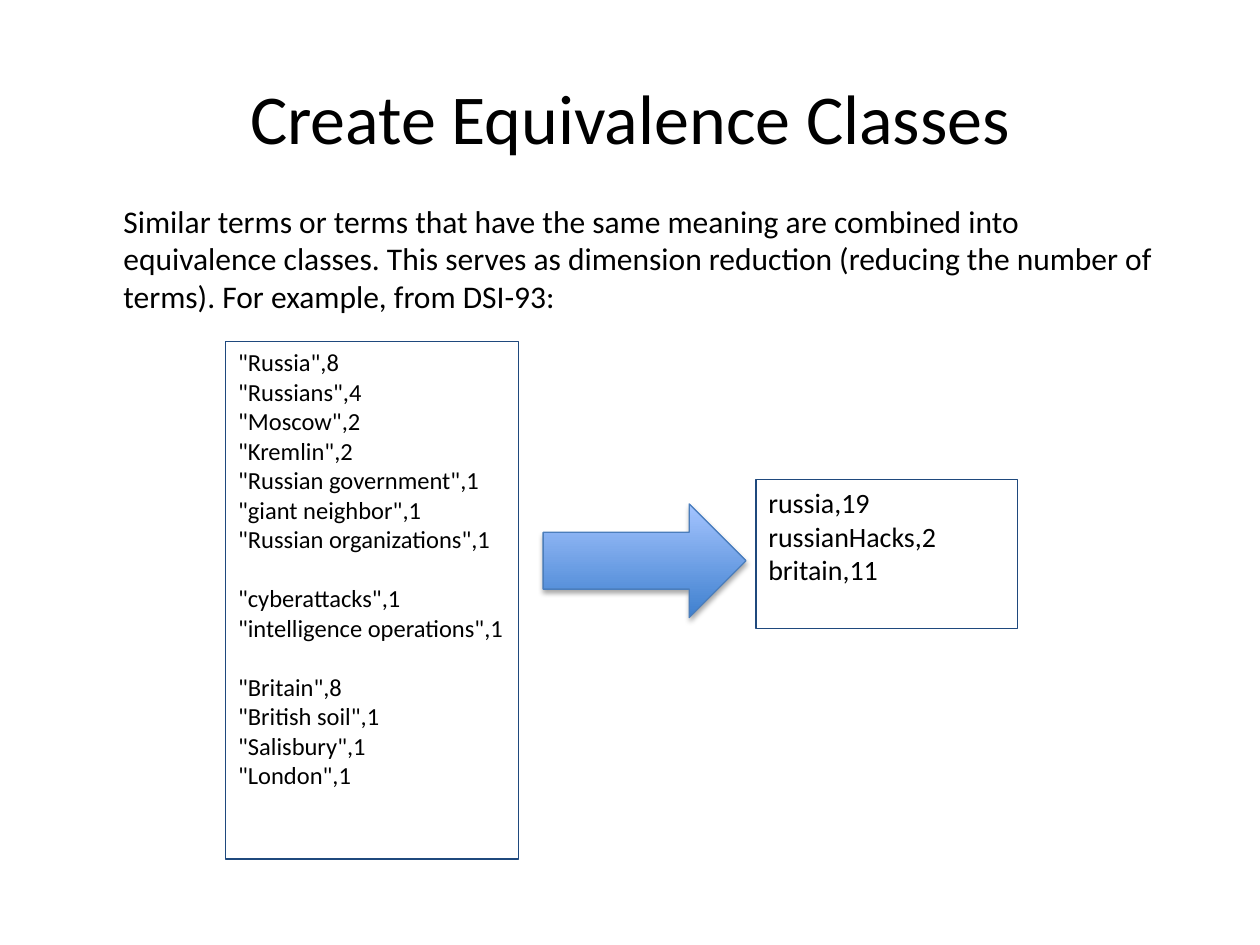
from dataclasses import dataclass

from lxml.etree import SubElement
from pptx import Presentation
from pptx.dml.color import RGBColor as Rgb
from pptx.enum.shapes import MSO_SHAPE as Shape
from pptx.enum.text import MSO_ANCHOR as Anchor, PP_ALIGN as Align
from pptx.oxml.ns import qn
from pptx.util import Cm, Pt


@dataclass(frozen=True)
class Theme:
    font: str = "Calibri"
    text: Rgb = Rgb(0, 0, 0)
    frame: Rgb = Rgb(0x1F, 0x49, 0x7D)
    arrow_line: Rgb = Rgb(0x4B, 0x7E, 0xBC)
    arrow_dark: Rgb = Rgb(0x3F, 0x80, 0xCE)
    arrow_light: Rgb = Rgb(0xA4, 0xC4, 0xFF)
    title_size: Pt = Pt(40)
    intro_size: Pt = Pt(18)
    terms_size: Pt = Pt(14)
    classes_size: Pt = Pt(16)
    line_width: Pt = Pt(0.75)
    group_gap: Pt = Pt(17)


THEME = Theme()

TITLE = "Create Equivalence Classes"
INTRO = ("Similar terms or terms that have the same meaning are combined into "
         "equivalence classes. This serves as dimension reduction (reducing the "
         "number of terms). For example, from DSI-93:")
TERM_GROUPS = [
    ['"Russia",8', '"Russians",4', '"Moscow",2', '"Kremlin",2',
     '"Russian government",1', '"giant neighbor",1', '"Russian organizations",1'],
    ['"cyberattacks",1', '"intelligence operations",1'],
    ['"Britain",8', '"British soil",1', '"Salisbury",1', '"London",1'],
]
CLASS_GROUPS = [["russia,19", "russianHacks,2", "britain,11"]]


def format_para(para, size, align=Align.LEFT):
    para.alignment = align
    for span in para.runs:
        span.font.name = THEME.font
        span.font.size = size
        span.font.color.rgb = THEME.text


def place(shape, box):
    shape.left, shape.top, shape.width, shape.height = box


def add_title(page, box):
    title = page.shapes.title
    place(title, box)
    title.text_frame.text = TITLE
    title.text_frame.vertical_anchor = Anchor.MIDDLE
    format_para(title.text_frame.paragraphs[0], THEME.title_size, Align.CENTER)


def add_intro(page, box):
    frame = page.shapes.add_textbox(*box).text_frame
    frame.word_wrap = True
    frame.text = INTRO
    format_para(frame.paragraphs[0], THEME.intro_size)


def add_term_box(page, box, groups, size):
    """Outlined list of terms, with a gap between the groups."""
    panel = page.shapes.add_shape(Shape.RECTANGLE, *box)
    panel.shadow.inherit = False
    panel.fill.background()
    panel.line.color.rgb = THEME.frame
    panel.line.width = THEME.line_width

    frame = panel.text_frame
    frame.word_wrap = True
    frame.vertical_anchor = Anchor.TOP
    frame.text = "\n".join(term for group in groups for term in group)
    for para in frame.paragraphs:
        format_para(para, size)

    # Open a gap before the first term of each later group
    first = 0
    for group in groups[:-1]:
        first += len(group)
        frame.paragraphs[first].space_before = THEME.group_gap


def add_arrow(page, box):
    arrow = page.shapes.add_shape(Shape.RIGHT_ARROW, *box)
    arrow.line.color.rgb = THEME.arrow_line
    arrow.line.width = THEME.line_width
    arrow.fill.gradient()
    arrow.fill.gradient_angle = 90
    for stop, color in zip(arrow.fill.gradient_stops,
                           (THEME.arrow_dark, THEME.arrow_light)):
        stop.color.rgb = color

    # Soft shadow straight below
    arrow.shadow.inherit = False
    effects = arrow.element.spPr.find(qn("a:effectLst"))
    shadow = SubElement(effects, qn("a:outerShdw"), blurRad=str(Pt(3.1)),
                        dist=str(Pt(1.8)), dir="5400000", rotWithShape="0")
    color = SubElement(shadow, qn("a:srgbClr"), val="000000")
    SubElement(color, qn("a:alpha"), val="35000")


def add_mapping(page, box):
    """Terms on the left, an arrow, and the resulting classes on the right."""
    left, top, width, height = box
    add_term_box(page, (left, top, Cm(5.9), height), TERM_GROUPS, THEME.terms_size)
    classes_width = Cm(5.28)
    add_term_box(page, (left + width - classes_width, top + Cm(2.79),
                        classes_width, Cm(3)), CLASS_GROUPS, THEME.classes_size)
    add_arrow(page, (left + Cm(6.4), top + Cm(3.28), Cm(4.09), Cm(2.29)))


def main():
    deck = Presentation()
    deck.slide_width, deck.slide_height = Cm(25.4), Cm(19.05)
    page = deck.slides.add_slide(deck.slide_layouts.get_by_name("Title Only"))
    add_title(page, (Cm(1.27), Cm(0.76), Cm(22.86), Cm(3.18)))
    add_intro(page, (Cm(2.24), Cm(3.94), Cm(21.69), Cm(2.57)))
    add_mapping(page, (Cm(4.55), Cm(6.88), Cm(15.97), Cm(10.44)))
    deck.save("out.pptx")


if __name__ == "__main__":
    main()
